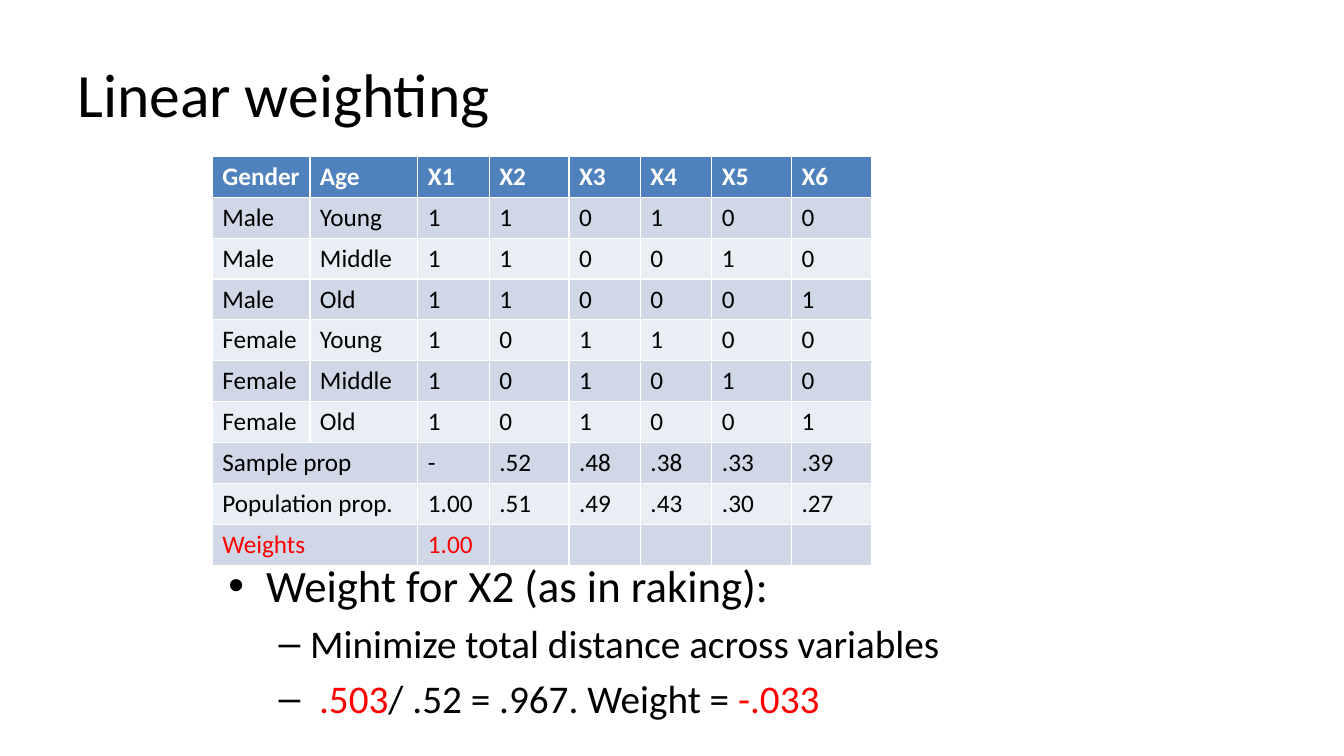
from pptx import Presentation
from pptx.dml.color import RGBColor
from pptx.enum.text import MSO_ANCHOR, MSO_AUTO_SIZE, PP_ALIGN
from pptx.util import Cm, Pt

BLACK = RGBColor(0x00, 0x00, 0x00)
WHITE = RGBColor(0xFF, 0xFF, 0xFF)
RED = RGBColor(0xFF, 0x00, 0x00)
HEADER_BLUE = RGBColor(0x4F, 0x81, 0xBD)
BAND_DARK = RGBColor(0xD0, 0xD8, 0xE8)
BAND_LIGHT = RGBColor(0xE9, 0xED, 0xF4)
FONT = "Calibri"

COLUMN_WIDTHS = [2.46, 2.72, 1.8, 2.01, 1.8, 1.8, 2.01, 2.01]
ROW_HEIGHT = 1.03
HEADINGS = ["Gender", "Age"] + [f"X{number}" for number in range(1, 7)]
GENDERS = ["Male", "Female"]
AGES = ["Young", "Middle", "Old"]
SUMMARIES = [
    ["Sample prop", "", "-", ".52", ".48", ".38", ".33", ".39"],
    ["Population prop.", "", "1.00", ".51", ".49", ".43", ".30", ".27"],
    ["Weights", "", "1.00", "", "", "", "", ""],
]

# Each bullet: level, size, then its runs as (text, colour)
BULLETS = [
    (0, 32, [("Weight for X2 (as in raking):", BLACK)]),
    (1, 28, [("Minimize total distance across variables", BLACK)]),
    (1, 28, [(" ", BLACK), (".503", RED), ("/ .52 = .967. Weight =", BLACK),
             (" -.033", RED)]),
]


def place(shape, left, top, width, height):
    shape.left, shape.top = Cm(left), Cm(top)
    shape.width, shape.height = Cm(width), Cm(height)


def set_font(font, size, color, bold=False):
    font.name, font.size, font.bold = FONT, Pt(size), bold
    font.color.rgb = color


def design_rows():
    """Code every gender and age pair as a constant plus 0/1 indicators."""
    return [
        [gender, age, "1"]
        + [str(int(gender == option)) for option in GENDERS]
        + [str(int(age == option)) for option in AGES]
        for gender in GENDERS for age in AGES
    ]


def add_title(title, left, top, width, height):
    place(title, left, top, width, height)
    frame = title.text_frame
    frame.text = "Linear weighting"
    frame.vertical_anchor = MSO_ANCHOR.MIDDLE
    heading = frame.paragraphs[0]
    heading.alignment = PP_ALIGN.LEFT
    set_font(heading.font, 44, BLACK)


def add_explanation(body, left, top, width, height, text_offset):
    """Fill the body with bullets that start text_offset below its top."""
    place(body, left, top, width, height)
    frame = body.text_frame
    frame.auto_size = MSO_AUTO_SIZE.NONE
    frame.vertical_anchor = MSO_ANCHOR.TOP
    frame.margin_top = Cm(text_offset)
    for index, (level, size, runs) in enumerate(BULLETS):
        bullet = frame.add_paragraph() if index else frame.paragraphs[0]
        bullet.level = level
        bullet.space_before = Pt(size * 0.2 if index else 0)
        bullet.font.name, bullet.font.size = FONT, Pt(size)
        for text, color in runs:
            run = bullet.add_run()
            run.text = text
            run.font.color.rgb = color


def add_weighting_table(slide, left, top):
    rows = [HEADINGS] + design_rows() + SUMMARIES
    table = slide.shapes.add_table(
        len(rows), len(HEADINGS), Cm(left), Cm(top),
        Cm(sum(COLUMN_WIDTHS)), Cm(ROW_HEIGHT * len(rows))).table
    for column, width in zip(table.columns, COLUMN_WIDTHS):
        column.width = Cm(width)
    for row_index, values in enumerate(rows):
        is_header = row_index == 0
        if is_header:
            fill, color = HEADER_BLUE, WHITE
        else:
            fill = BAND_DARK if row_index % 2 else BAND_LIGHT
            color = RED if values[0] == "Weights" else BLACK
        for column_index, value in enumerate(values):
            cell = table.cell(row_index, column_index)
            cell.text = value
            cell.fill.solid()
            cell.fill.fore_color.rgb = fill
            set_font(cell.text_frame.paragraphs[0].font, 18, color, is_header)
        if values in SUMMARIES:
            table.cell(row_index, 0).merge(table.cell(row_index, 1))


def main():
    presentation = Presentation()
    presentation.slide_width, presentation.slide_height = Cm(33.87), Cm(19.05)
    slide = presentation.slides.add_slide(presentation.slide_layouts[1])
    add_title(slide.shapes.title, 1.69, 0.76, 30.48, 3.18)
    add_explanation(slide.placeholders[1], 5.5, 4.45, 24.13, 14.48, 9.6)
    add_weighting_table(slide, 5.35, 3.94)
    presentation.save("out.pptx")


if __name__ == "__main__":
    main()
